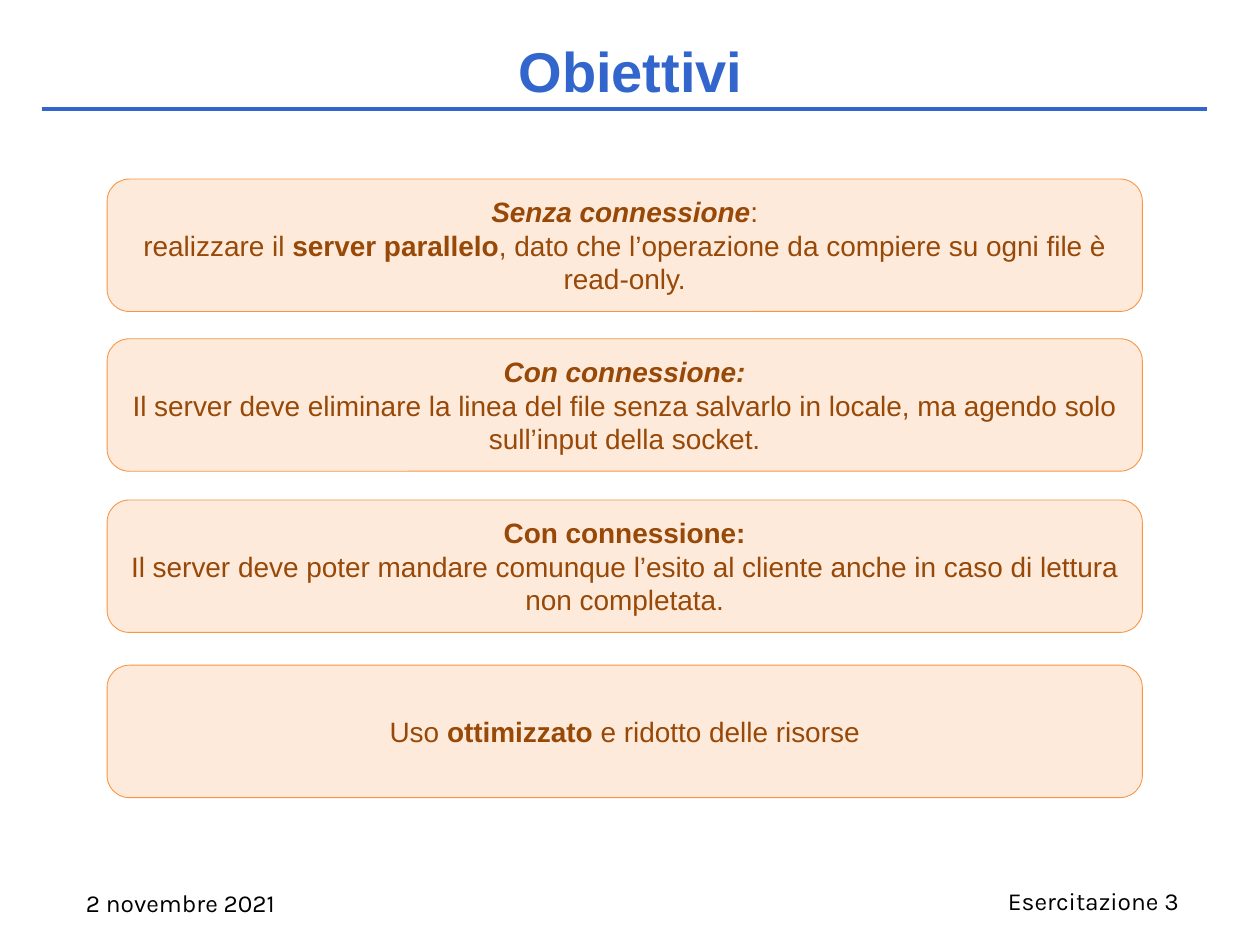
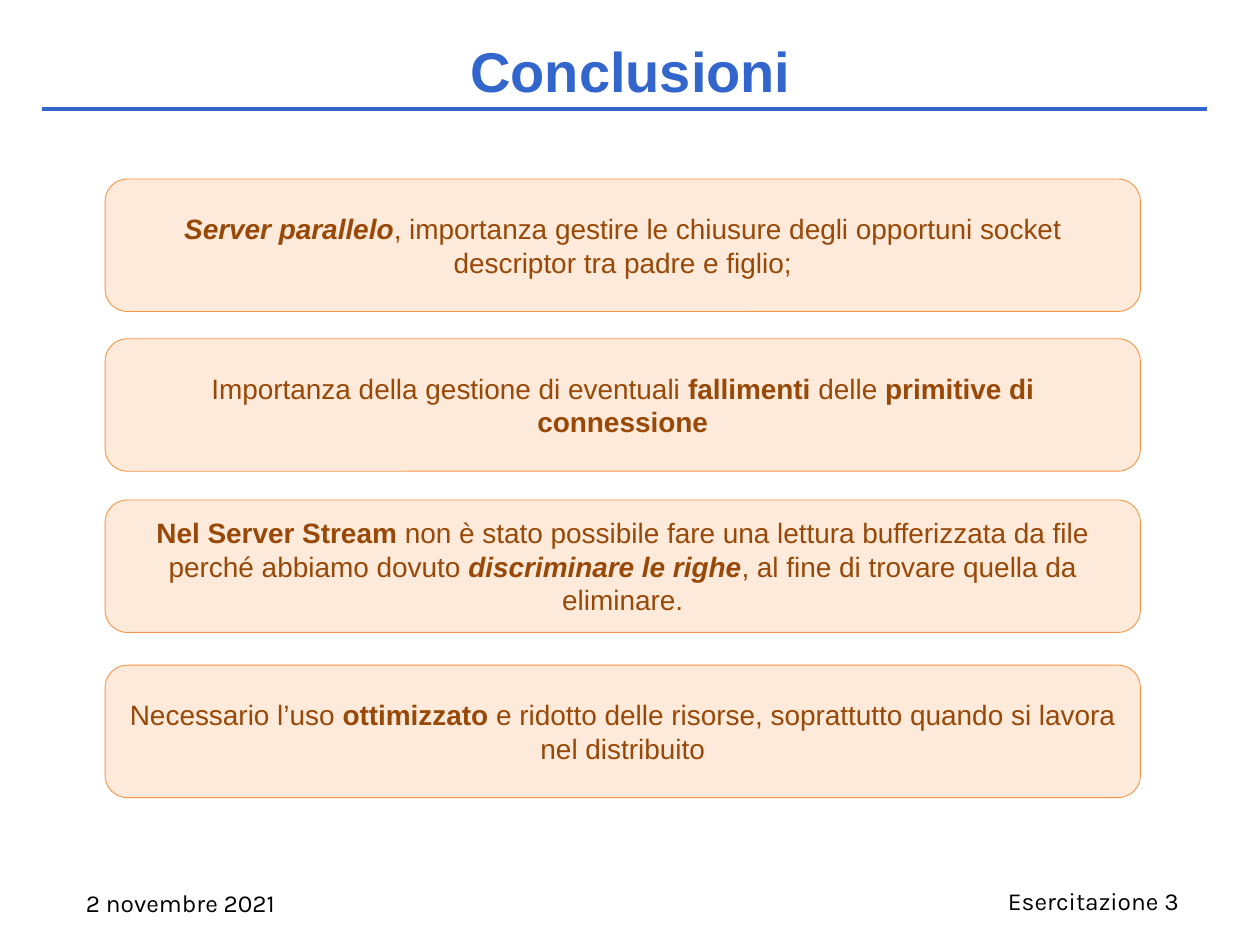
from lxml import etree
from pptx import Presentation
from pptx import util as u
from pptx.dml.color import RGBColor
from pptx.enum import shapes, text
from pptx.oxml.ns import qn

BLUE, BLACK = "3366CC", "000000"
PEACH, ORANGE, BROWN = "FDEADA", "F79646", "984807"

CARD_TOPS = (3.61, 6.83, 10.08, 13.41)
CARD_WIDTH, CARD_HEIGHT = 20.87, 2.67

OBJECTIVES = [
    [[("Senza connessione", "bi"), (":", "")],
     [("realizzare il ", ""), ("server parallelo", "b"),
      (", dato che l’operazione da compiere su ogni file è read-only.", "")]],
    [[("Con connessione:", "bi")],
     [("Il server deve eliminare la linea del file senza salvarlo in locale, "
       "ma agendo solo sull’input della socket.", "")]],
    [[("Con connessione:", "b")],
     [("Il server deve poter mandare comunque l’esito al cliente "
       "anche in caso di lettura non completata.", "")]],
    [[("Uso ", ""), ("ottimizzato", "b"), (" e ridotto delle risorse", "")]],
]

CONCLUSIONS = [
    [[("Server parallelo", "bi"),
      (", importanza gestire le chiusure degli opportuni socket descriptor "
       "tra padre e figlio;", "")]],
    [[("Importanza della gestione di eventuali ", ""), ("fallimenti", "b"),
      (" delle ", ""), ("primitive di connessione", "b")]],
    [[("Nel Server Stream ", "b"),
      ("non è stato possibile fare una lettura bufferizzata da file "
       "perché abbiamo dovuto ", ""),
      ("discriminare le righe", "bi"),
      (", al fine di trovare quella da eliminare.", "")]],
    [[("Necessario l’uso ", ""), ("ottimizzato", "b"),
      (" e ridotto delle risorse, soprattutto quando si lavora nel distribuito", "")]],
]


def rgb(value):
    return RGBColor.from_string(value)


def set_font(font, name, size, color):
    font.name = name
    font.size = u.Pt(size)
    font.color.rgb = rgb(color)


def add_label(slide, words, left, top, width, height, name, size, color):
    label = slide.shapes.add_textbox(u.Cm(left), u.Cm(top), u.Cm(width), u.Cm(height))
    frame = label.text_frame
    frame.word_wrap = True
    frame.margin_left = frame.margin_right = frame.margin_bottom = 0
    frame.margin_top = u.Cm(0.03)
    line = frame.paragraphs[0]
    line.text = words
    line.space_before = u.Pt(1.1)
    set_font(line.font, name, size, color)
    return line


def add_title(slide, words):
    title = add_label(slide, words, 1.96, 0.71, 21.51, 1.4, "Arial", 32, BLUE)
    title.alignment = text.PP_ALIGN.CENTER
    title.font.bold = True
    rule = slide.shapes.add_connector(
        shapes.MSO_CONNECTOR.STRAIGHT, u.Cm(0.84), u.Cm(2.2), u.Cm(24.33), u.Cm(2.2))
    rule.line.color.rgb = rgb(BLUE)
    rule.line.width = u.Pt(2.28)
    etree.SubElement(rule._element.spPr, qn("a:effectLst"))


def add_footer(slide):
    add_label(slide, "2 novembre 2021", 1.73, 17.88, 4.2, 0.64, "Karla", 14, BLACK)
    add_label(slide, "Esercitazione 3", 20.32, 17.83, 4.9, 0.64, "Karla", 14, BLACK)


def add_card(slide, left, top, paragraphs):
    card = slide.shapes.add_shape(
        shapes.MSO_SHAPE.ROUNDED_RECTANGLE,
        u.Cm(left), u.Cm(top), u.Cm(CARD_WIDTH), u.Cm(CARD_HEIGHT))
    card.shadow.inherit = False
    card.fill.solid()
    card.fill.fore_color.rgb = rgb(PEACH)
    card.line.color.rgb = rgb(ORANGE)
    card.line.width = u.Pt(0.5)
    frame = card.text_frame
    frame.word_wrap = True
    frame.vertical_anchor = text.MSO_ANCHOR.MIDDLE
    for index, runs in enumerate(paragraphs):
        line = frame.add_paragraph() if index else frame.paragraphs[0]
        line.alignment = text.PP_ALIGN.CENTER
        set_font(line.font, "Arial", 16, BROWN)
        for words, style in runs:
            run = line.add_run()
            run.text = words
            if "b" in style:
                run.font.bold = True
            if "i" in style:
                run.font.italic = True


def add_card_slide(deck, title, left, cards):
    slide = deck.slides.add_slide(deck.slide_layouts[6])
    add_title(slide, title)
    add_footer(slide)
    for top, paragraphs in zip(CARD_TOPS, cards):
        add_card(slide, left, top, paragraphs)


def main():
    deck = Presentation()
    deck.slide_width, deck.slide_height = u.Cm(25.4), u.Cm(19.05)
    add_card_slide(deck, "Obiettivi", 2.16, OBJECTIVES)
    add_card_slide(deck, "Conclusioni", 2.12, CONCLUSIONS)
    deck.save("out.pptx")


if __name__ == "__main__":
    main()
